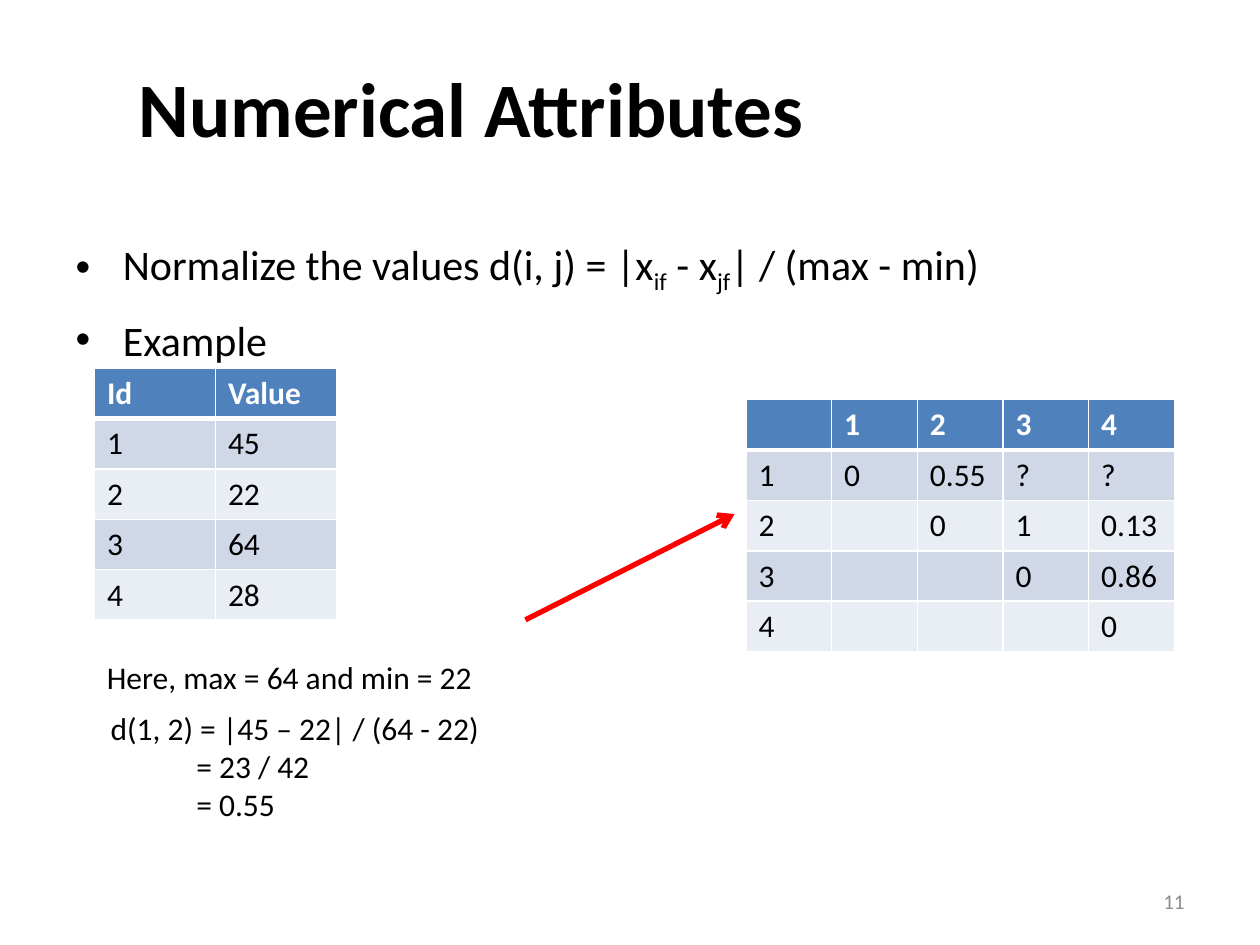
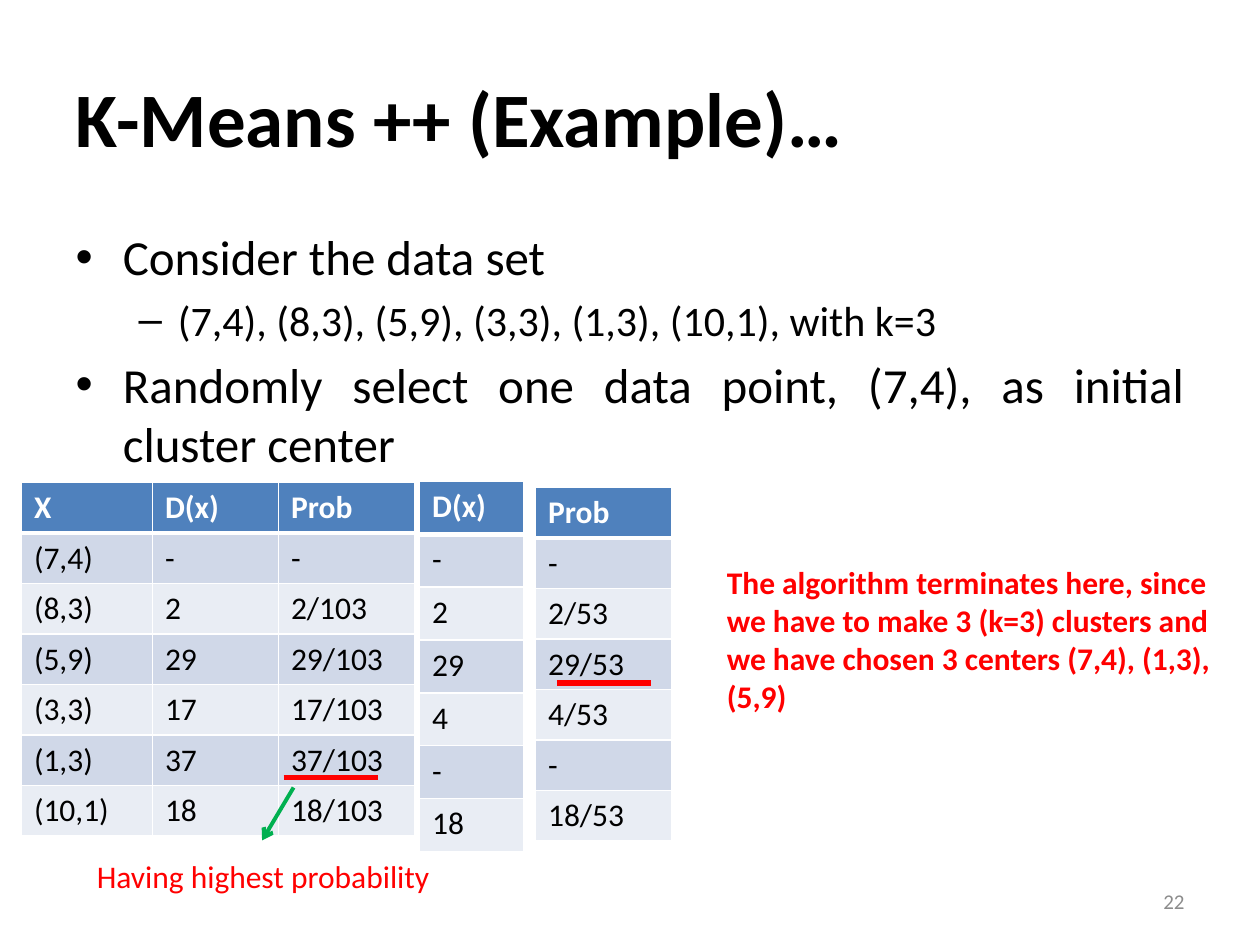
import pptx
import pptx.dml.color
import pptx.enum.shapes
import pptx.enum.text
import pptx.oxml
import pptx.oxml.ns
import pptx.util
from pptx.util import Inches

RGBColor = pptx.dml.color.RGBColor
ALIGN = pptx.enum.text.PP_ALIGN
ANCHOR = pptx.enum.text.MSO_ANCHOR

BLACK = RGBColor(0x00, 0x00, 0x00)
WHITE = RGBColor(0xFF, 0xFF, 0xFF)
GREY = RGBColor(0x8C, 0x8C, 0x8C)
RED = RGBColor(0xFF, 0x00, 0x00)
GREEN = RGBColor(0x00, 0xB0, 0x50)
HEADER_BLUE = RGBColor(0x4F, 0x81, 0xBD)
BANDS = (RGBColor(0xD0, 0xD8, 0xE8), RGBColor(0xE9, 0xED, 0xF4))
FONT = "Calibri"

# Boxes are left, top, width, height in inches.
# A bullet is (level, size, runs); a run is (text, is_subscript).
# A note paragraph is (text, left indent).
# A table is (left, top, column width, row height, rows).
# A line is (start, end, colour, width, has_arrowhead).
SLIDES = [
    {
        "number": "11",
        "title": ("Numerical Attributes", (1, 0.42, 7.43, 0.86)),
        "body_box": (0.5, 1.75, 9.25, 5.17),
        "line_spacing": 1.2,
        "bullets": [
            (0, 24, [("Normalize the values d(i, j) = |x", False), ("if", True),
                     (" - x", False), ("jf", True), ("| / (max - min)", False)]),
            (0, 24, [("Example", False)]),
        ],
        "tables": [
            (0.75, 2.92, 0.96, 0.4, [
                ("Id", "Value"),
                ("1", "45"),
                ("2", "22"),
                ("3", "64"),
                ("4", "28"),
            ]),
            (5.92, 3.17, 0.68, 0.4, [
                ("", "1", "2", "3", "4"),
                ("1", "0", "0.55", "?", "?"),
                ("2", "", "0", "1", "0.13"),
                ("3", "", "", "0", "0.86"),
                ("4", "", "", "", "0"),
            ]),
        ],
        "notes": [
            {"box": (0.75, 5.17, 3.14, 0.4),
             "paragraphs": [("Here, max = 64 and min = 22", 0)]},
            {"box": (0.78, 5.58, 3.17, 1.01),
             "paragraphs": [("d(1, 2) = |45 – 22| / (64 - 22)", 0),
                            ("= 23 / 42", 0.68), ("= 0.55", 0.68)]},
        ],
        "lines": [((4.17, 4.92), (5.83, 4.08), RED, 3, True)],
    },
    {
        "number": "22",
        "title": ("K-Means ++ (Example)…", (0.5, 0.3, 9, 1.25)),
        "body_box": (0.5, 1.75, 9, 4.95),
        "line_spacing": 1.0,
        "bullets": [
            (0, 28, [("Consider the data set", False)]),
            (1, 24, [("(7,4), (8,3), (5,9), (3,3), (1,3), (10,1), with k=3", False)]),
            (0, 28, [("Randomly select one data point, (7,4), as initial cluster center",
                      False)]),
        ],
        "tables": [
            (0.17, 3.83, 1.04, 0.4, [
                ("X", "D(x)"),
                ("(7,4)", "-"),
                ("(8,3)", "2"),
                ("(5,9)", "29"),
                ("(3,3)", "17"),
                ("(1,3)", "37"),
                ("(10,1)", "18"),
            ]),
            (2.21, 3.83, 1.08, 0.4, [
                ("Prob",), ("-",), ("2/103",), ("29/103",), ("17/103",), ("37/103",),
                ("18/103",),
            ]),
            (3.33, 3.82, 0.83, 0.42, [
                ("D(x)",), ("-",), ("2",), ("29",), ("4",), ("-",), ("18",),
            ]),
            (4.25, 3.87, 1.08, 0.4, [
                ("Prob",), ("-",), ("2/53",), ("29/53",), ("4/53",), ("-",), ("18/53",),
            ]),
        ],
        "notes": [
            {"box": (0.67, 6.75, 2.87, 0.4), "color": RED,
             "paragraphs": [("Having highest probability", 0)]},
            {"box": (5.67, 4.42, 4.08, 1.31), "color": RED, "bold": True, "wrap": True,
             "paragraphs": [("The algorithm terminates here, since we have to make 3 (k=3) "
                             "clusters and we have chosen 3 centers (7,4), (1,3), (5,9)", 0)]},
        ],
        "lines": [
            ((2.25, 6.17), (3, 6.17), RED, 3, False),
            ((2.33, 6.25), (2.08, 6.67), GREEN, 2.25, True),
            ((4.42, 5.42), (5.17, 5.42), RED, 3, False),
        ],
    },
]


def inches(lengths):
    return [Inches(length) for length in lengths]


def place(shape, box):
    shape.left, shape.top, shape.width, shape.height = inches(box)


def add_run(paragraph, text, size, color=BLACK, bold=False):
    run = paragraph.add_run()
    run.text = text
    run.font.name = FONT
    run.font.size = pptx.util.Pt(size)
    run.font.bold = bold
    run.font.color.rgb = color
    return run


def paragraph_at(frame, index):
    return frame.paragraphs[0] if index == 0 else frame.add_paragraph()


def fill_title(title, text, box):
    place(title, box)
    frame = title.text_frame
    frame.auto_size = pptx.enum.text.MSO_AUTO_SIZE.NONE
    frame.vertical_anchor = ANCHOR.MIDDLE
    frame.paragraphs[0].alignment = ALIGN.LEFT
    add_run(frame.paragraphs[0], text, 44, bold=True)


def fill_body(body, box, bullets, line_spacing):
    place(body, box)
    frame = body.text_frame
    frame.auto_size = pptx.enum.text.MSO_AUTO_SIZE.NONE
    for index, (level, size, runs) in enumerate(bullets):
        paragraph = paragraph_at(frame, index)
        paragraph.level = level
        paragraph.alignment = ALIGN.JUSTIFY
        paragraph.line_spacing = line_spacing
        for text, is_subscript in runs:
            run = add_run(paragraph, text, size)
            if is_subscript:
                run.font._element.set("baseline", "-25000")


def add_note(slide, box, paragraphs, color=BLACK, bold=False, wrap=False):
    frame = slide.shapes.add_textbox(*inches(box)).text_frame
    frame.word_wrap = wrap
    for index, (text, indent) in enumerate(paragraphs):
        paragraph = paragraph_at(frame, index)
        if indent:
            paragraph._p.get_or_add_pPr().set("marL", str(Inches(indent)))
        add_run(paragraph, text, 18, color, bold)


def add_slide_number(slide, number):
    frame = slide.shapes.add_textbox(*inches((7.17, 6.95, 2.33, 0.4))).text_frame
    frame.word_wrap = True
    frame.vertical_anchor = ANCHOR.MIDDLE
    frame.paragraphs[0].alignment = ALIGN.RIGHT
    add_run(frame.paragraphs[0], number, 12, GREY)


def set_borders(cell, row):
    """Draw white borders, thicker between the header and the first row."""
    widths = {"L": 1, "R": 1, "T": 3 if row == 1 else 1, "B": 3 if row == 0 else 1}
    for side, width in widths.items():
        cell._tc.get_or_add_tcPr().append(pptx.oxml.parse_xml(
            f'<a:ln{side} {pptx.oxml.ns.nsdecls("a")} w="{pptx.util.Pt(width)}">'
            f'<a:solidFill><a:srgbClr val="{WHITE}"/></a:solidFill></a:ln{side}>'))


def add_data_table(slide, left, top, column_width, row_height, rows):
    columns = len(rows[0])
    box = inches((left, top, column_width * columns, row_height * len(rows)))
    table = slide.shapes.add_table(len(rows), columns, *box).table
    for column in table.columns:
        column.width = Inches(column_width)
    for r, values in enumerate(rows):
        table.rows[r].height = Inches(row_height)
        is_header = r == 0
        for c, value in enumerate(values):
            cell = table.cell(r, c)
            set_borders(cell, r)
            cell.fill.solid()
            cell.fill.fore_color.rgb = HEADER_BLUE if is_header else BANDS[(r - 1) % 2]
            if value:
                add_run(cell.text_frame.paragraphs[0], value, 18,
                        WHITE if is_header else BLACK, is_header)


def add_line(slide, start, end, color, width, has_arrowhead):
    line = slide.shapes.add_connector(
        pptx.enum.shapes.MSO_CONNECTOR.STRAIGHT, *inches(start + end))
    line.line.color.rgb = color
    line.line.width = pptx.util.Pt(width)
    nsdecls = pptx.oxml.ns.nsdecls("a")
    if has_arrowhead:
        line.line._get_or_add_ln().append(
            pptx.oxml.parse_xml(f'<a:tailEnd {nsdecls} type="arrow"/>'))
    line._element.spPr.append(pptx.oxml.parse_xml(f"<a:effectLst {nsdecls}/>"))


def build_slide(deck, content):
    slide = deck.slides.add_slide(deck.slide_layouts[1])
    fill_title(slide.shapes.title, *content["title"])
    fill_body(slide.placeholders[1], content["body_box"], content["bullets"],
              content["line_spacing"])
    add_slide_number(slide, content["number"])
    for table in content["tables"]:
        add_data_table(slide, *table)
    for note in content["notes"]:
        add_note(slide, **note)
    for line in content["lines"]:
        add_line(slide, *line)


def main():
    deck = pptx.Presentation()
    deck.slide_width, deck.slide_height = inches((10, 7.5))
    for content in SLIDES:
        build_slide(deck, content)
    deck.save("out.pptx")


if __name__ == "__main__":
    main()
